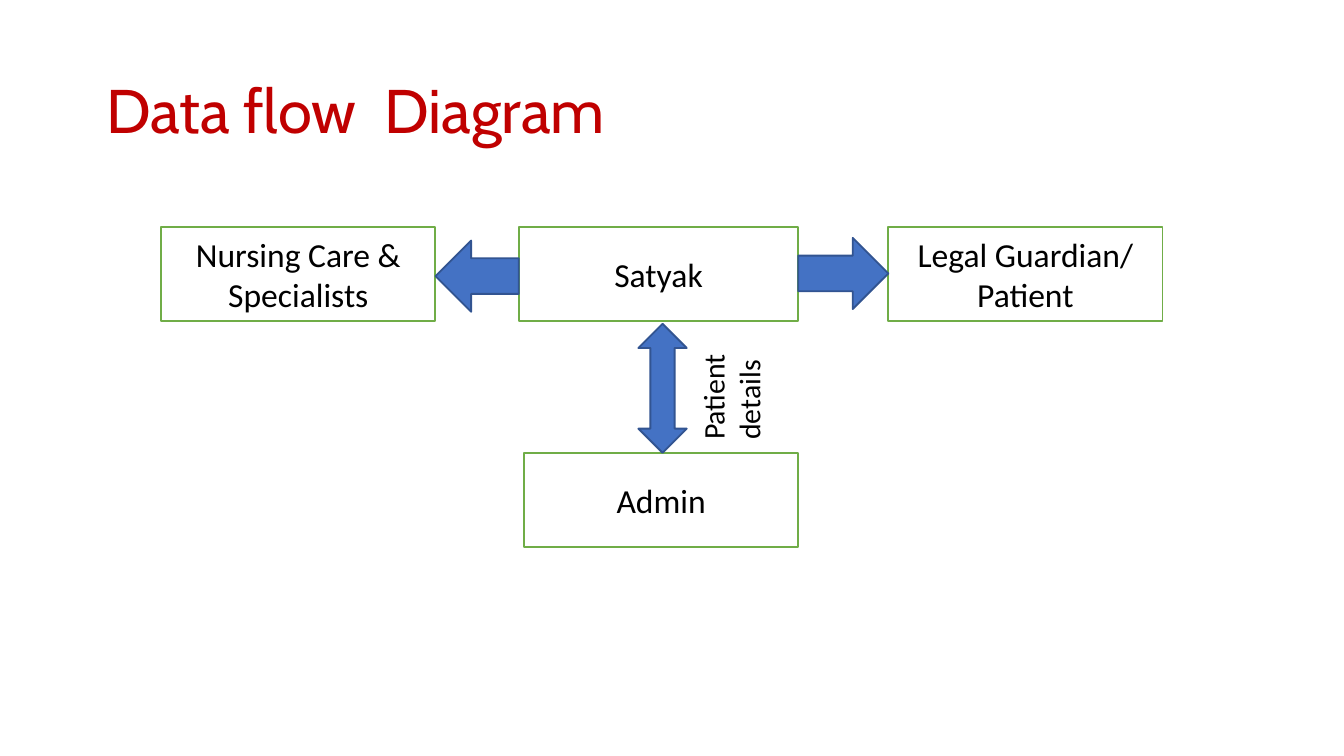
from dataclasses import dataclass

from pptx import Presentation
from pptx.dml.color import RGBColor
from pptx.enum.shapes import MSO_SHAPE
from pptx.enum.text import MSO_ANCHOR, PP_ALIGN
from pptx.util import Inches, Pt


@dataclass(frozen=True)
class Theme:
    title_font: str = "Cabin"
    body_font: str = "Calibri"
    title_size: int = 33
    box_size: int = 18
    label_size: int = 16
    title_color: str = "C00000"
    text_color: str = "000000"
    box_fill: str = "FFFFFF"
    box_line: str = "70AD47"
    arrow_fill: str = "4472C4"
    arrow_line: str = "325491"


THEME = Theme()
TITLE = "Data flow  Diagram"
FLOW_LABEL = ["Patient", "details"]

# Grid: left and width of each column, top of each row
COLUMNS = {"left": (1.2, 2.04), "hub": (3.86, 2.08), "admin": (3.9, 2.04), "right": (6.61, 2.04)}
ROWS = {"top": 1.69, "bottom": 3.37}
BOX_HEIGHT = 0.7
ARROW_THICKNESS = 0.53
FLOW_ARROW = (4.75, 0.36)
ARROW_GAP = 0.02

# Lines of text, column, row
BOXES = [
    (["Nursing Care &", "Specialists"], "left", "top"),
    (["Admin"], "admin", "bottom"),
    (["Legal Guardian/", "Patient"], "right", "top"),
    (["Satyak"], "hub", "top"),
]
# Shape, column before, column after, top
SIDE_ARROWS = [
    (MSO_SHAPE.LEFT_ARROW, "left", "hub", 1.79),
    (MSO_SHAPE.RIGHT_ARROW, "hub", "right", 1.77),
]


def write_text(frame, lines, *, size, color, font=THEME.body_font,
               align=PP_ALIGN.LEFT, anchor=MSO_ANCHOR.TOP, line_spacing=None):
    frame.word_wrap = True
    frame.vertical_anchor = anchor
    for index, line in enumerate(lines):
        para = frame.paragraphs[0] if index == 0 else frame.add_paragraph()
        para.alignment = align
        para.line_spacing = line_spacing
        span = para.add_run()
        span.text = line
        span.font.size = Pt(size)
        span.font.name = font
        span.font.color.rgb = RGBColor.from_string(color)


def add_filled_shape(slide, kind, place, fill, line):
    shape = slide.shapes.add_shape(kind, *map(Inches, place))
    shape.shadow.inherit = False
    shape.fill.solid()
    shape.fill.fore_color.rgb = RGBColor.from_string(fill)
    shape.line.color.rgb = RGBColor.from_string(line)
    shape.line.width = Pt(1)
    return shape


def add_arrow(slide, kind, place):
    add_filled_shape(slide, kind, place, THEME.arrow_fill, THEME.arrow_line)


def column_end(name):
    left, width = COLUMNS[name]
    return left + width


def add_title(slide):
    title = slide.shapes.title
    title.left, title.top, title.width, title.height = map(Inches, (0.69, 0.3, 8.62, 1.09))
    write_text(title.text_frame, [TITLE], size=THEME.title_size, color=THEME.title_color,
               font=THEME.title_font, anchor=MSO_ANCHOR.MIDDLE, line_spacing=0.9)


def add_boxes(slide):
    for lines, column, row in BOXES:
        left, width = COLUMNS[column]
        box = add_filled_shape(slide, MSO_SHAPE.RECTANGLE, (left, ROWS[row], width, BOX_HEIGHT),
                               THEME.box_fill, THEME.box_line)
        write_text(box.text_frame, lines, size=THEME.box_size, color=THEME.text_color,
                   align=PP_ALIGN.CENTER, anchor=MSO_ANCHOR.MIDDLE)


def add_arrows(slide):
    for kind, before, after, top in SIDE_ARROWS:
        start = column_end(before)
        add_arrow(slide, kind, (start, top, COLUMNS[after][0] - start, ARROW_THICKNESS))
    left, width = FLOW_ARROW
    top = ROWS["top"] + BOX_HEIGHT + ARROW_GAP
    add_arrow(slide, MSO_SHAPE.UP_DOWN_ARROW, (left, top, width, ROWS["bottom"] - top))


def add_flow_label(slide):
    label = slide.shapes.add_textbox(*map(Inches, (4.57, 2.18, 1.74, 0.64)))
    label.rotation = 270
    write_text(label.text_frame, FLOW_LABEL, size=THEME.label_size, color=THEME.text_color)


def main():
    deck = Presentation()
    deck.slide_width = Inches(10)
    deck.slide_height = deck.slide_width * 9 // 16
    slide = deck.slides.add_slide(deck.slide_layouts.get_by_name("Title Only"))
    add_title(slide)
    add_boxes(slide)
    add_arrows(slide)
    add_flow_label(slide)
    deck.save("out.pptx")


if __name__ == "__main__":
    main()
